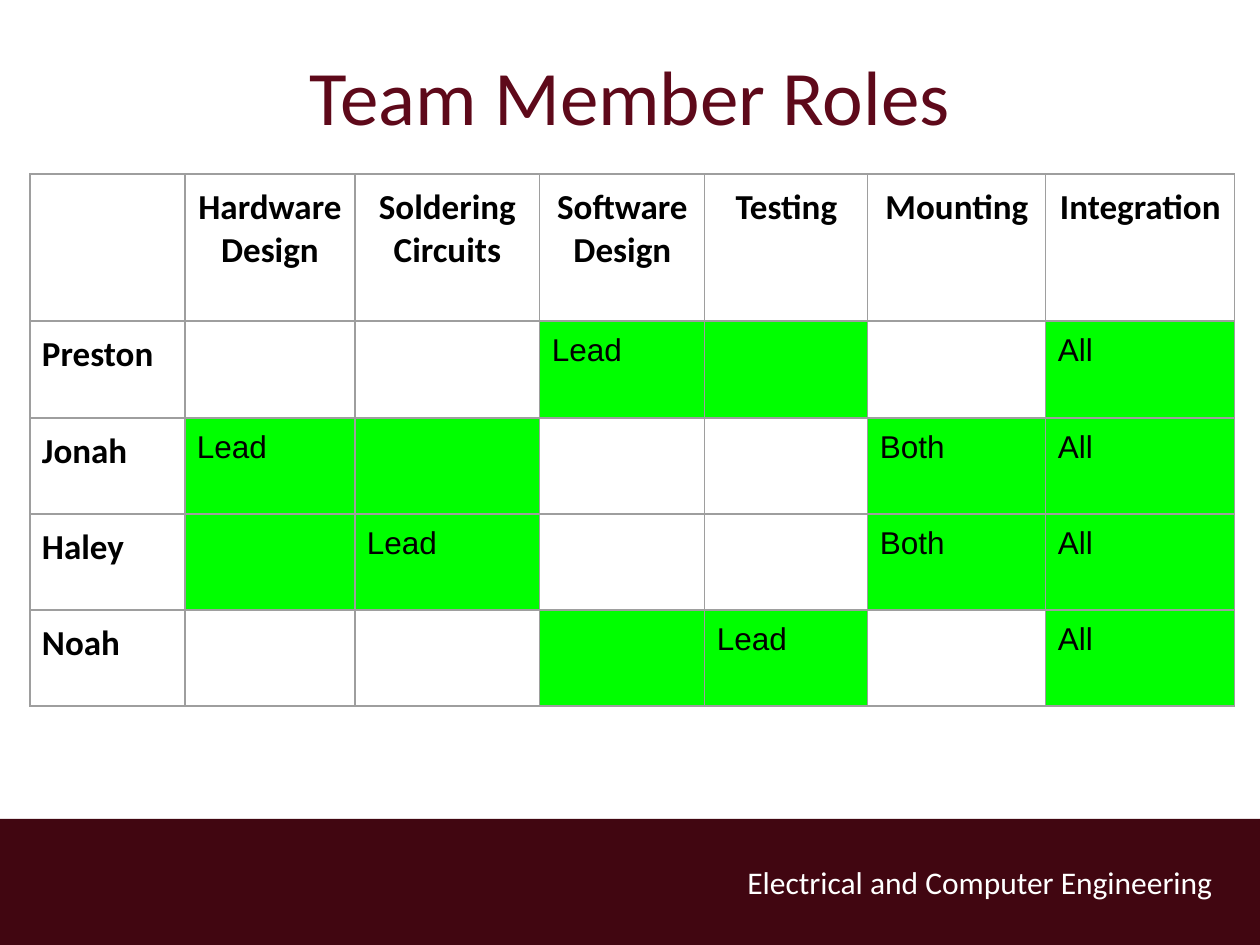
from lxml import etree
from pptx import Presentation
from pptx.dml.color import RGBColor
from pptx.enum.shapes import MSO_SHAPE
from pptx.enum.text import MSO_ANCHOR, PP_ALIGN
from pptx.oxml.ns import qn
from pptx.util import Emu, Pt

RECTANGLE = MSO_SHAPE.RECTANGLE
MIDDLE = MSO_ANCHOR.MIDDLE
LEFT, CENTER = PP_ALIGN.LEFT, PP_ALIGN.CENTER

EMU_PER_PX = 914400 // 126
TITLE_ONLY = 5

COLUMN_WIDTHS = [155, 170, 185, 165, 163, 178, 189]
ROW_HEIGHTS = [147, 97, 96, 96, 96]
TASKS = ["", "Hardware \nDesign", "Soldering Circuits", "Software\nDesign",
         "Testing", "Mounting", "Integration"]
# None is a task without the member, "" is a task shared without a label.
ROLES = {
    "Preston": [None, None, "Lead", "", None, "All"],
    "Jonah": ["Lead", "", None, None, "Both", "All"],
    "Haley": ["", "Lead", None, None, "Both", "All"],
    "Noah": [None, None, "", "Lead", None, "All"],
}


def px(length):
    return Emu(length * EMU_PER_PX)


def color(value):
    return RGBColor.from_string(value)


class RolesPage:
    heading_font = "Calibri"
    label_font = "Arial"
    maroon = "5E091A"
    band_color = "410611"
    white = "FFFFFF"
    black = "000000"
    active = "00FF00"
    grid = "9E9E9E"

    def __init__(self, deck):
        self.page = deck.slides.add_slide(deck.slide_layouts[TITLE_ONLY])

    def set_text(self, frame, text, size, font, ink, bold=False, align=LEFT):
        frame.text = text
        for para in frame.paragraphs:
            para.alignment = align
            for span in para.runs:
                span.font.size = Pt(size)
                span.font.name = font
                span.font.bold = bold
                span.font.color.rgb = color(ink)

    def band(self, left, top, width, height):
        shape = self.page.shapes.add_shape(
            RECTANGLE, px(left), px(top), px(width), px(height))
        shape.shadow.inherit = False
        shape.fill.solid()
        shape.fill.fore_color.rgb = color(self.band_color)
        shape.line.fill.background()

    def caption(self, text, left, top, width, height):
        box = self.page.shapes.add_textbox(px(left), px(top), px(width), px(height))
        box.text_frame.word_wrap = True
        self.set_text(box.text_frame, text, 18, self.heading_font, self.white)

    def title(self, text, left, top, width, height):
        title = self.page.shapes.title
        title.left, title.top = px(left), px(top)
        title.width, title.height = px(width), px(height)
        title.text_frame.vertical_anchor = MIDDLE
        self.set_text(title.text_frame, text, 44, self.heading_font, self.maroon,
                      align=CENTER)

    def outline(self, cell):
        """Draw a thin grid line on all four sides of the cell."""
        properties = cell._tc.get_or_add_tcPr()
        for side in ("a:lnL", "a:lnR", "a:lnT", "a:lnB"):
            line = etree.SubElement(properties, qn(side), w=str(Pt(0.75)))
            fill = etree.SubElement(line, qn("a:solidFill"))
            etree.SubElement(fill, qn("a:srgbClr"), val=self.grid)

    def cell(self, cell, text, heading=False, align=LEFT):
        cell.margin_left = cell.margin_right = px(12)
        cell.margin_top = cell.margin_bottom = px(12)
        self.outline(cell)
        if heading or text is None:
            cell.fill.background()
        else:
            cell.fill.solid()
            cell.fill.fore_color.rgb = color(self.active)
        if text:
            size, font = (20, self.heading_font) if heading else (18, self.label_font)
            self.set_text(cell.text_frame, text, size, font, self.black, heading, align)

    def roles_table(self, left, top):
        rows = [TASKS] + [[name, *roles] for name, roles in ROLES.items()]
        table = self.page.shapes.add_table(
            len(rows), len(TASKS), px(left), px(top),
            px(sum(COLUMN_WIDTHS)), px(sum(ROW_HEIGHTS))).table
        table.first_row = table.horz_banding = False
        for column, width in zip(table.columns, COLUMN_WIDTHS):
            column.width = px(width)
        for row, height in zip(table.rows, ROW_HEIGHTS):
            row.height = px(height)
        for r, texts in enumerate(rows):
            for c, text in enumerate(texts):
                self.cell(table.cell(r, c), text, heading=r == 0 or c == 0,
                          align=CENTER if r == 0 else LEFT)


def main():
    deck = Presentation()
    deck.slide_width, deck.slide_height = px(1260), px(945)
    page = RolesPage(deck)
    page.band(0, 819, 1260, 126)
    page.caption("Electrical and Computer Engineering", 735, 857, 571, 50)
    page.title("Team Member Roles", 79, 16, 1102, 158)
    page.roles_table(30, 174)
    deck.save("out.pptx")


if __name__ == "__main__":
    main()
